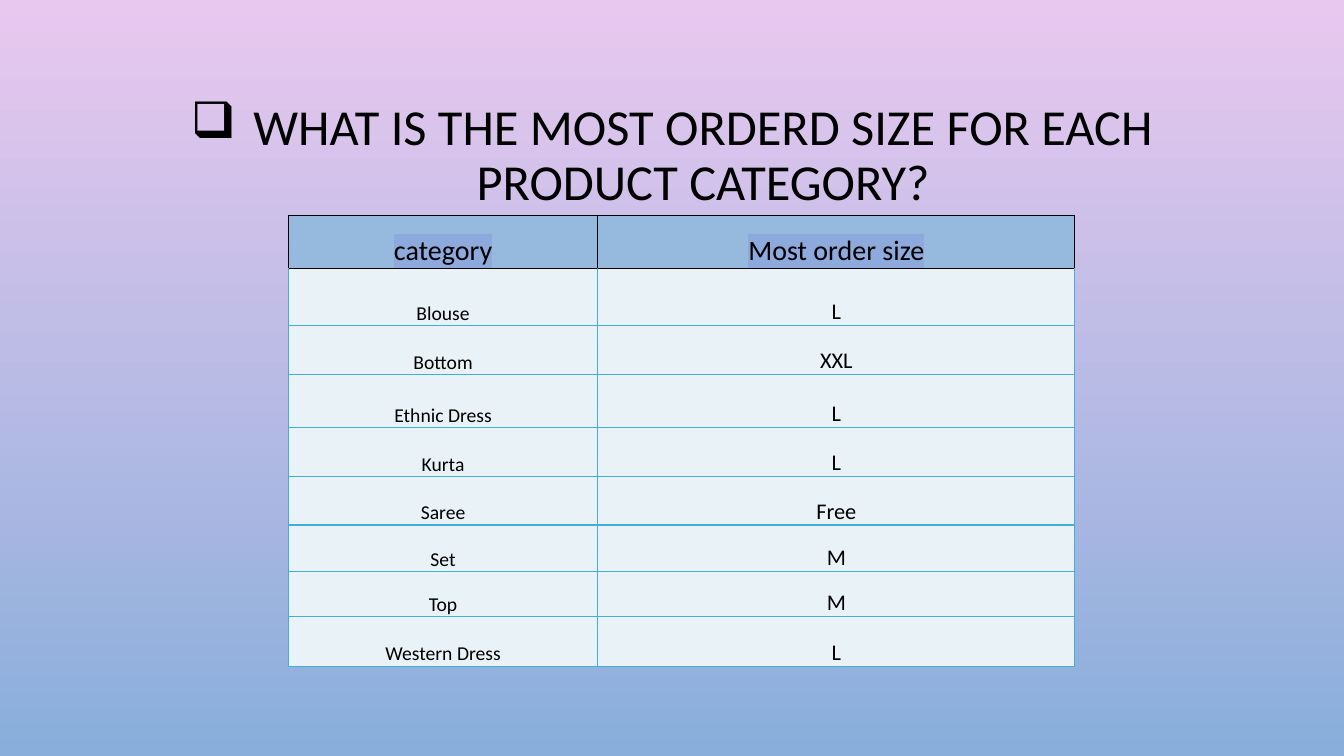
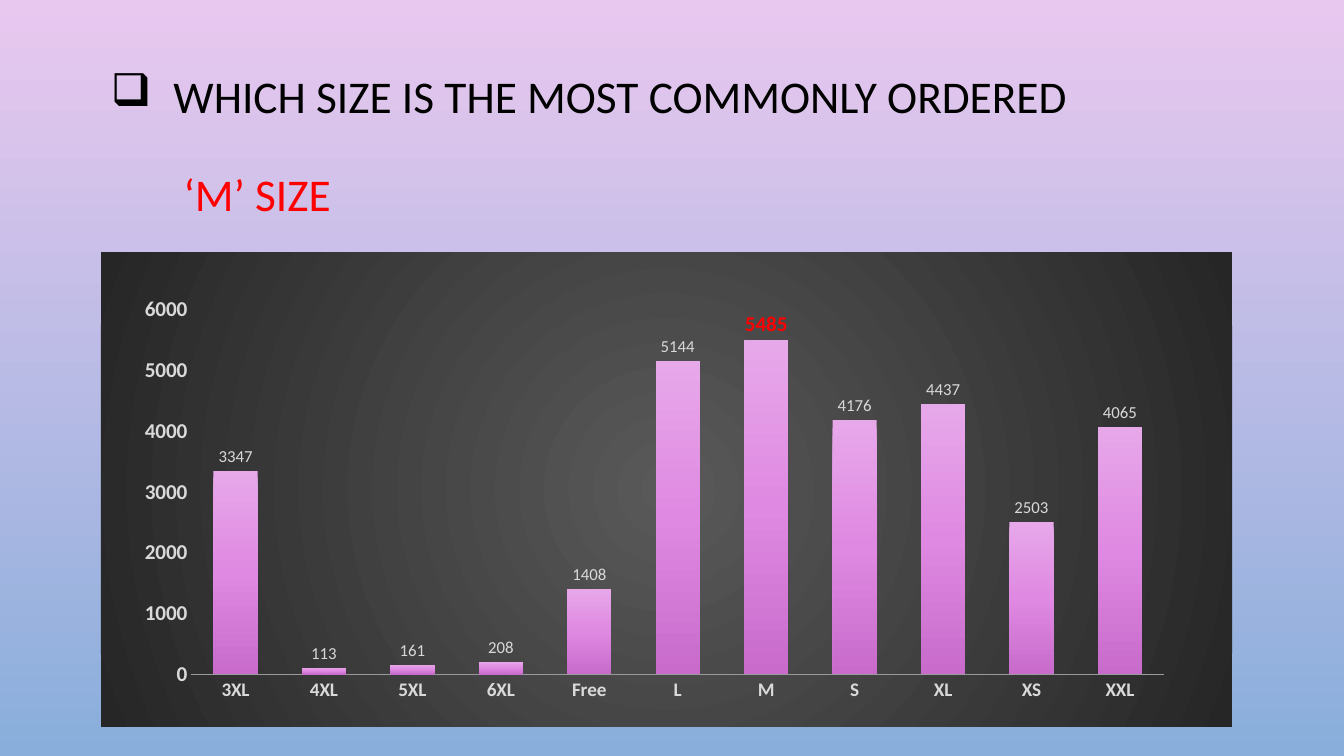
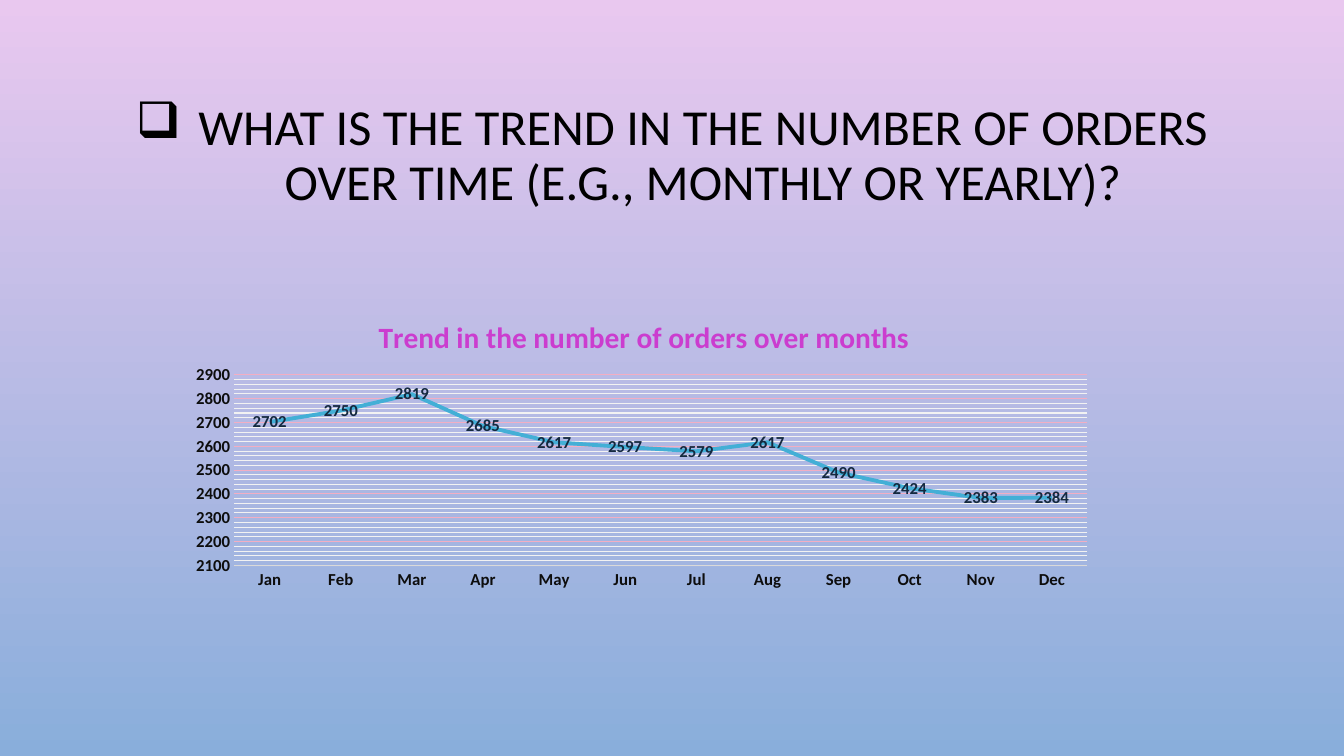
"""Build three slides on order sizes and the monthly order trend."""
from pptx import Presentation
from pptx.chart.data import CategoryChartData
from pptx.dml.color import RGBColor
from pptx.enum.chart import XL_CHART_TYPE as ChartType
from pptx.enum.chart import XL_LABEL_POSITION as LabelPos
from pptx.enum.chart import XL_TICK_MARK as Tick
from pptx.enum.text import MSO_ANCHOR as Anchor
from pptx.enum.text import MSO_AUTO_SIZE as AutoSize
from pptx.enum.text import PP_ALIGN as Align
from pptx.oxml import parse_xml
from pptx.oxml.ns import nsdecls
from pptx.util import Inches, Pt

FONT = "Calibri"
BLACK = RGBColor(0x00, 0x00, 0x00)
RED = RGBColor(0xFF, 0x00, 0x00)
PINK = RGBColor(0xE9, 0xC8, 0xEF)
BLUE = RGBColor(0x89, 0xAE, 0xDB)
HEADER_FILL = RGBColor(0x96, 0xBA, 0xDE)
HIGHLIGHT = RGBColor(0x8E, 0xA9, 0xDB)
ROW_FILL = RGBColor(0xE9, 0xF2, 0xF7)
SKY = RGBColor(0x43, 0xAF, 0xD6)
PALE_GREY = RGBColor(0xD9, 0xD9, 0xD9)
AXIS_GREY = RGBColor(0x9A, 0x9A, 0x9A)
INK = RGBColor(0x0D, 0x0D, 0x0D)
NAVY = RGBColor(0x14, 0x29, 0x3F)
ROSE = RGBColor(0xF2, 0xAE, 0xC3)
WHITE_GREY = RGBColor(0xF2, 0xF2, 0xF2)
MAGENTA = RGBColor(0xCB, 0x3D, 0xCF)
PANEL_STOPS = [(0, RGBColor(0x59, 0x59, 0x59)), (100, RGBColor(0x26, 0x26, 0x26))]
COLUMN_STOPS = [(0, RGBColor(0xE7, 0xA8, 0xE9)), (50, RGBColor(0xDF, 0x89, 0xE2)),
                (100, RGBColor(0xC8, 0x6B, 0xCB))]
DOWNWARD = '<a:lin ang="5400000" scaled="0"/>'
FROM_CENTRE = ('<a:path path="circle"><a:fillToRect l="50000" t="50000" '
               'r="50000" b="50000"/></a:path>')

CATEGORY_QUESTION = "WHAT IS THE MOST ORDERD SIZE FOR EACH PRODUCT CATEGORY?"
SIZE_QUESTION = "WHICH SIZE IS THE MOST COMMONLY ORDERED"
SIZE_ANSWER = "‘M’ SIZE"
TREND_QUESTION = ("WHAT IS THE TREND IN THE NUMBER OF ORDERS OVER TIME "
                  "(E.G., MONTHLY OR YEARLY)?")
TREND_TITLE = "Trend in the number of orders over months"
CATEGORY_SIZES = [
    ("category", "Most order size"), ("Blouse", "L"), ("Bottom", "XXL"),
    ("Ethnic Dress", "L"), ("Kurta", "L"), ("Saree", "Free"), ("Set", "M"),
    ("Top", "M"), ("Western Dress", "L"),
]
COLUMN_WIDTHS = [3.07, 4.73]
ROW_HEIGHTS = [0.52, 0.57, 0.49, 0.52, 0.49, 0.48, 0.46, 0.45, 0.49]
SIZE_ORDERS = {"3XL": 3347, "4XL": 113, "5XL": 161, "6XL": 208, "Free": 1408,
               "L": 5144, "M": 5485, "S": 4176, "XL": 4437, "XS": 2503, "XXL": 4065}
MONTH_ORDERS = {"Jan": 2702, "Feb": 2750, "Mar": 2819, "Apr": 2685, "May": 2617,
                "Jun": 2597, "Jul": 2579, "Aug": 2617, "Sep": 2490, "Oct": 2424,
                "Nov": 2383, "Dec": 2384}


def style_font(font, size, color, bold=False):
    font.name, font.size, font.bold = FONT, Pt(size), bold
    font.color.rgb = color


def gradient(stops, direction):
    marks = "".join(f'<a:gs pos="{pos * 1000}"><a:srgbClr val="{color}"/></a:gs>'
                    for pos, color in stops)
    return f'<a:gradFill {nsdecls("a")}><a:gsLst>{marks}</a:gsLst>{direction}</a:gradFill>'


def indent(paragraph, left, first):
    props = paragraph._p.get_or_add_pPr()
    props.set("marL", str(Inches(left)))
    props.set("indent", str(Inches(first)))
    return props


def add_question(deck, question, size=36, height=1.75, align=Align.CENTER):
    slide = deck.slides.add_slide(deck.slide_layouts[5])
    title = slide.shapes.title
    title.left, title.top = Inches(1), Inches(0.68)
    title.width, title.height = Inches(11.33), Inches(height)
    frame = title.text_frame
    frame.text = question
    frame.auto_size = AutoSize.NONE
    frame.vertical_anchor = Anchor.MIDDLE
    paragraph = frame.paragraphs[0]
    paragraph.alignment = align
    paragraph.line_spacing = 0.9
    indent(paragraph, 0.62, -0.62).append(
        parse_xml(f'<a:buChar {nsdecls("a")} char="❑"/>'))
    style_font(paragraph.runs[0].font, size, BLACK)
    return slide


def border_cell(cell, colors):
    props = cell._tc.get_or_add_tcPr()
    for index, (side, color) in enumerate(zip("LRTB", colors)):
        props.insert(index, parse_xml(
            f'<a:ln{side} {nsdecls("a")} w="12700"><a:solidFill>'
            f'<a:srgbClr val="{color}"/></a:solidFill></a:ln{side}>'))


def fill_cell(cell, text, size, is_header, below_header):
    cell.text = text
    cell.vertical_anchor = Anchor.BOTTOM
    cell.margin_left = cell.margin_right = cell.margin_top = Inches(0.01)
    cell.margin_bottom = 0
    cell.fill.solid()
    cell.fill.fore_color.rgb = HEADER_FILL if is_header else ROW_FILL
    edge = BLACK if is_header else SKY
    border_cell(cell, (edge, edge, BLACK if below_header else edge, edge))
    paragraph = cell.text_frame.paragraphs[0]
    paragraph.alignment = Align.CENTER
    font = paragraph.runs[0].font
    style_font(font, size, BLACK)
    if is_header:
        font._rPr.find("{*}solidFill").addnext(parse_xml(
            f'<a:highlight {nsdecls("a")}><a:srgbClr val="{HIGHLIGHT}"/></a:highlight>'))


def add_category_table(slide):
    table = slide.shapes.add_table(
        len(ROW_HEIGHTS), len(COLUMN_WIDTHS), Inches(2.86), Inches(2.14),
        Inches(sum(COLUMN_WIDTHS)), Inches(sum(ROW_HEIGHTS))).table
    table.first_row = table.horz_banding = False
    for column, width in zip(table.columns, COLUMN_WIDTHS):
        column.width = Inches(width)
    for row, height in zip(table.rows, ROW_HEIGHTS):
        row.height = Inches(height)
    for r, texts in enumerate(CATEGORY_SIZES):
        for c, text in enumerate(texts):
            size = 20 if r == 0 else (14, 16)[c]
            fill_cell(table.cell(r, c), text, size, r == 0, r == 1)


def set_layout(parent, index, target="", **edges):
    for old in parent.findall("{*}layout"):
        parent.remove(old)
    modes = "".join(f'<c:{name}Mode val="edge"/>' for name in "xy")
    values = "".join(f'<c:{name} val="{value}"/>' for name, value in edges.items())
    parent.insert(index, parse_xml(
        f'<c:layout {nsdecls("c")}><c:manualLayout>{target}{modes}{values}'
        f'</c:manualLayout></c:layout>'))


def add_orders_chart(slide, kind, orders, box, plot, scale, axis_sizes, axis_color,
                     label_pos, label_color, label_bold):
    data = CategoryChartData()
    data.categories = list(orders)
    data.add_series("Series 1", list(orders.values()))
    chart = slide.shapes.add_chart(kind, *map(Inches, box), data).chart
    style_font(chart.font, 10, BLACK)
    chart.has_legend = chart.has_title = False
    plot_area = chart._chartSpace.chart.plotArea
    set_layout(plot_area, 0, '<c:layoutTarget val="inner"/>', **dict(zip("xywh", plot)))
    for axis, size in zip((chart.category_axis, chart.value_axis), axis_sizes):
        axis.major_tick_mark = axis.minor_tick_mark = Tick.NONE
        axis.has_major_gridlines = False
        style_font(axis.tick_labels.font, size, axis_color, True)
    values = chart.value_axis
    values.minimum_scale, values.maximum_scale, values.major_unit = scale
    values.format.line.fill.background()
    chart.plots[0].vary_by_categories = False
    series = chart.plots[0].series[0]
    labels = series.data_labels
    labels.show_value = True
    labels.position = label_pos
    style_font(labels.font, 12, label_color, label_bold)
    return chart, series


def add_size_chart(slide):
    chart, series = add_orders_chart(
        slide, ChartType.COLUMN_CLUSTERED, SIZE_ORDERS, (1, 2.5, 11.22, 4.71),
        (0.08, 0.12, 0.86, 0.77), (0, 6000, 1000), (13.7, 15.1), PALE_GREY,
        LabelPos.OUTSIDE_END, PALE_GREY, False)
    chart.plots[0].gap_width, chart.plots[0].overlap = 100, -24
    chart.category_axis.format.line.color.rgb = AXIS_GREY
    chart.category_axis.format.line.width = Pt(1)
    series._element.get_or_add_spPr().insert(
        0, parse_xml(gradient(COLUMN_STOPS, DOWNWARD)))
    chart._chartSpace.chart.addnext(parse_xml(
        f'<c:spPr {nsdecls("c", "a")}>{gradient(PANEL_STOPS, FROM_CENTRE)}'
        f'<a:ln><a:noFill/></a:ln></c:spPr>'))
    top_label = series.points[list(SIZE_ORDERS).index("M")].data_label
    style_font(top_label.font, 15, RED, True)
    top_label.position = LabelPos.OUTSIDE_END


def add_trend_chart(slide):
    chart, series = add_orders_chart(
        slide, ChartType.LINE, MONTH_ORDERS, (1.77, 2.91, 9.2, 3),
        (0.06, 0.27, 0.92, 0.63), (2100, 2900, 100), (12, 12), INK,
        LabelPos.CENTER, NAVY, True)
    chart.category_axis.format.line.color.rgb = PALE_GREY
    chart.category_axis.format.line.width = Pt(1)
    values = chart.value_axis
    values.has_major_gridlines = values.has_minor_gridlines = True
    values.minor_unit = 20
    values.major_gridlines.format.line.color.rgb = ROSE
    values.major_gridlines.format.line.width = Pt(0.75)
    values._element.find("{*}minorGridlines").append(parse_xml(
        f'<c:spPr {nsdecls("c", "a")}><a:ln w="{Pt(0.75)}"><a:solidFill>'
        f'<a:srgbClr val="{WHITE_GREY}"/></a:solidFill></a:ln></c:spPr>'))
    series.smooth = False
    series.format.line.color.rgb = SKY
    series.format.line.width = Pt(2.75)
    heading = chart.chart_title.text_frame
    heading.text = TREND_TITLE
    style_font(heading.paragraphs[0].runs[0].font, 21, MAGENTA, True)
    set_layout(chart._chartSpace.chart.find("{*}title"), 1, x=0.21, y=0.06)


def add_answer(slide):
    answer = slide.shapes.title.text_frame.add_paragraph()
    answer.text = SIZE_ANSWER
    answer.alignment = Align.LEFT
    answer.line_spacing = 0.9
    answer.space_before = Pt(35)
    indent(answer, 0.72, 0)
    style_font(answer.runs[0].font, 32.4, RED)


def main():
    deck = Presentation()
    deck.slide_width, deck.slide_height = Inches(13.33), Inches(7.5)
    backdrop = deck.slide_master.background.fill
    backdrop.gradient()
    backdrop.gradient_angle = 270
    for stop, color in zip(backdrop.gradient_stops, (PINK, BLUE)):
        stop.color.rgb = color

    add_category_table(add_question(deck, CATEGORY_QUESTION))

    size_slide = add_question(deck, SIZE_QUESTION, 32.4, 1.57, Align.LEFT)
    add_answer(size_slide)
    add_size_chart(size_slide)

    add_trend_chart(add_question(deck, TREND_QUESTION))
    deck.save("out.pptx")


if __name__ == "__main__":
    main()
